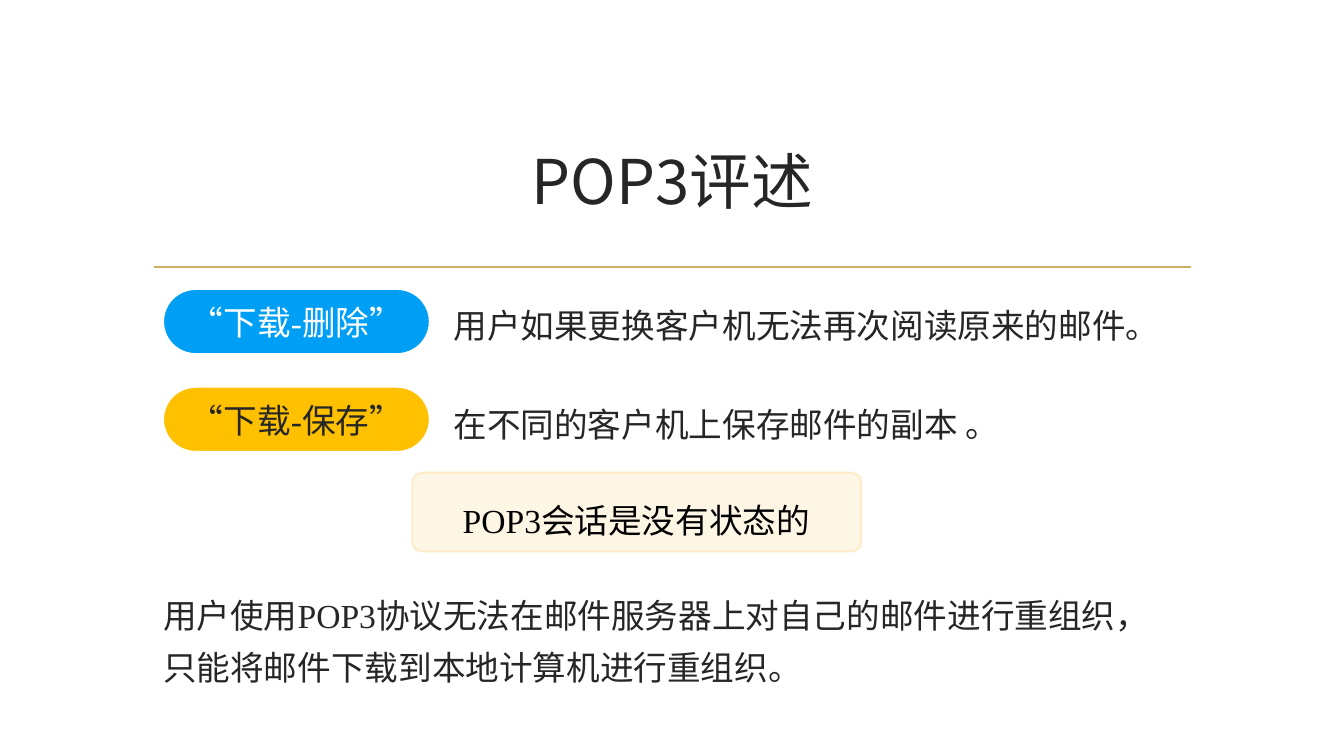
"""Build the POP3 review slide."""
from lxml.etree import SubElement
from pptx import Presentation
from pptx.dml.color import RGBColor
from pptx.enum.shapes import MSO_CONNECTOR, MSO_SHAPE
from pptx.enum.text import MSO_ANCHOR, PP_ALIGN
from pptx.oxml.ns import qn
from pptx.util import Inches, Pt

CJK = "Noto Sans CJK SC"
SERIF = "Times New Roman"
INK = "262626"


def rgb(value):
    return RGBColor.from_string(value)


def write(holder, wording, color=INK, spacing=1.0, align=PP_ALIGN.LEFT,
          size=24, latin=SERIF, anchor=MSO_ANCHOR.TOP):
    frame = holder.text_frame
    frame.word_wrap = True
    frame.vertical_anchor = anchor
    paragraph = frame.paragraphs[0]
    paragraph.alignment = align
    paragraph.line_spacing = spacing
    run = paragraph.add_run()
    run.text = wording
    run.font.size = Pt(size)
    run.font.name = latin
    run.font.color.rgb = rgb(color)
    SubElement(run.font._element, qn("a:ea")).set("typeface", CJK)


deck = Presentation()
deck.slide_width, deck.slide_height = Inches(13.33), Inches(7.5)
slide = deck.slides.add_slide(deck.slide_layouts[5])
shapes = slide.shapes

divider = shapes.add_connector(MSO_CONNECTOR.STRAIGHT, Inches(1.53), Inches(2.65),
                               Inches(11.81), Inches(2.65))
divider.line.color.rgb = rgb("CBAF62")
divider.line.width = Pt(1.25)
SubElement(divider._element.spPr, qn("a:effectLst"))

title = shapes.title
title.left, title.top = Inches(1.42), Inches(1.07)
title.width, title.height = Inches(10.5), Inches(1.43)
write(title, "POP3评述", align=PP_ALIGN.CENTER, size=44, latin=CJK, anchor=MSO_ANCHOR.MIDDLE)

panels = [
    (1.62, 2.87, 2.64, 0.64, 0.5, "009FF6", "FFFFFF", 1),
    (1.62, 3.84, 2.64, 0.64, 0.5, "FFC000", "FFFFFF", 1),
    (4.09, 4.69, 4.45, 0.78, 0.124, "FEF6E5", "FDECC7", 1.5),
]
for left, top, width, height, rounding, fill, border, weight in panels:
    panel = shapes.add_shape(MSO_SHAPE.ROUNDED_RECTANGLE, Inches(left), Inches(top),
                             Inches(width), Inches(height))
    panel.adjustments[0] = rounding
    panel.shadow.inherit = False
    panel.fill.solid()
    panel.fill.fore_color.rgb = rgb(fill)
    panel.line.color.rgb = rgb(border)
    panel.line.width = Pt(weight)

passages = [
    (1.62, 2.95, 2.64, 0.5, "“下载-删除”", "FFFFFF", 1.0, PP_ALIGN.CENTER),
    (4.4, 2.94, 7.59, 0.51, "用户如果更换客户机无法再次阅读原来的邮件。", INK, 1.1, PP_ALIGN.LEFT),
    (1.62, 3.92, 2.64, 0.5, "“下载-保存”", INK, 1.0, PP_ALIGN.CENTER),
    (4.4, 3.92, 5.79, 0.52, "在不同的客户机上保存邮件的副本 。", INK, 1.1, PP_ALIGN.LEFT),
    (4.49, 4.71, 3.79, 0.64, "POP3会话是没有状态的", "000000", 1.5, PP_ALIGN.LEFT),
    (1.52, 5.73, 10.3, 1.1,
     "用户使用POP3协议无法在邮件服务器上对自己的邮件进行重组织，只能将邮件下载到本地计算机进行重组织。",
     INK, 1.3, PP_ALIGN.LEFT),
]
for left, top, width, height, wording, color, spacing, align in passages:
    passage = shapes.add_textbox(Inches(left), Inches(top), Inches(width), Inches(height))
    write(passage, wording, color, spacing, align)

deck.save("out.pptx")
